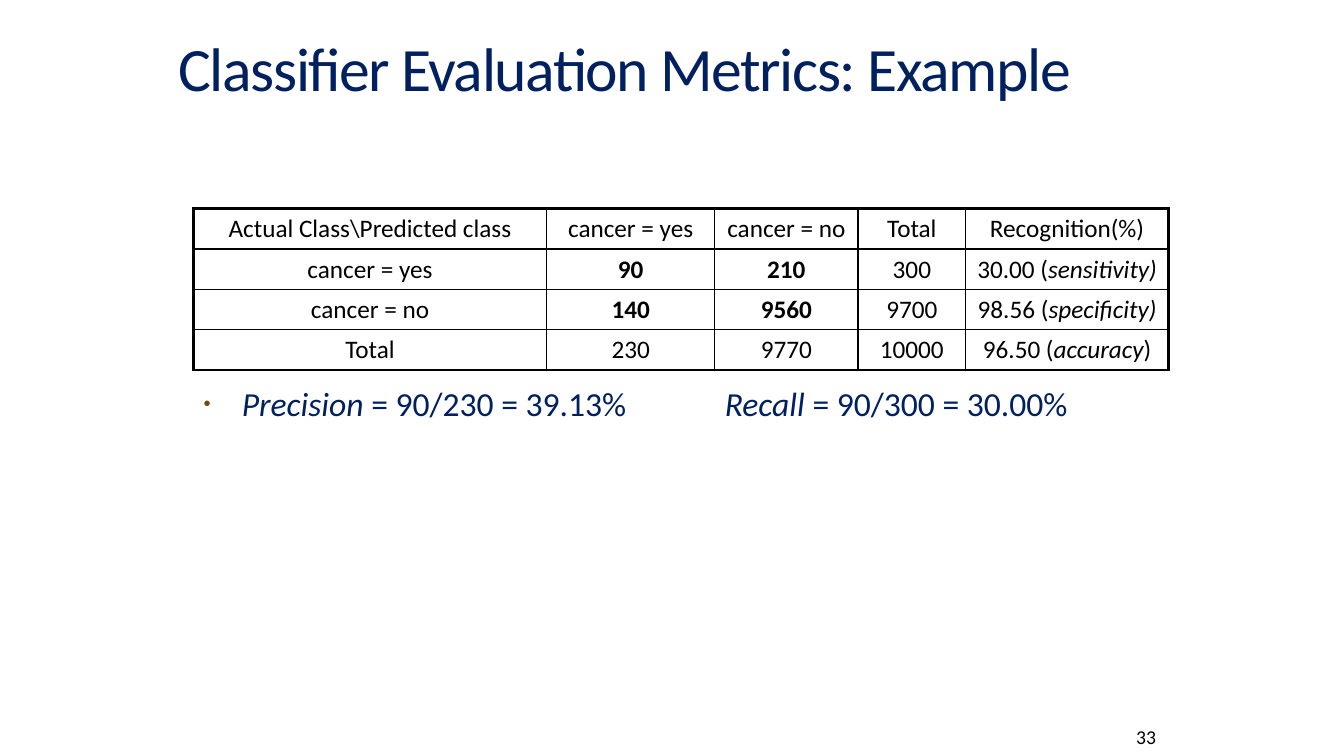
"""Build the slide showing an example of classifier evaluation metrics."""
from lxml.etree import SubElement
from pptx import Presentation
from pptx.dml.color import RGBColor
from pptx.enum.text import MSO_ANCHOR, PP_ALIGN
from pptx.oxml.ns import qn
from pptx.util import Inches, Pt

FONT, NAVY, BLACK, WHITE, BROWN = "Calibri", "002060", "000000", "FFFFFF", "694F07"
TITLE = "Classifier Evaluation Metrics: Example"
PAGE = "33"
METRICS = [("Precision", "i"), (" = 90/230 = 39.13%\t", ""),
           ("Recall", "i"), (" = 90/300 = 30.00%", "")]
ROWS = [
    ["Actual Class\\Predicted class", "cancer = yes", "cancer = no", "Total", "Recognition(%)"],
    ["cancer = yes", [("90", "b")], [("210", "b")], "300",
     [("30.00 (", ""), ("sensitivity)", "i")]],
    ["cancer = no", [("140", "b")], [("9560", "b")], "9700",
     [("98.56 (", ""), ("specificity)", "i")]],
    ["Total", "230", "9770", "10000",
     [("96.50 (", ""), ("accuracy", "i"), (")", "")]],
]
COL_WIDTHS = [3.5, 1.67, 1.42, 1.07, 2.01]
ROW_HEIGHT = 0.4
THIN, THICK = 1, 2.25


def rgb(color):
    return RGBColor.from_string(color)


def write(p, runs, size, color):
    for text, style in [(runs, "")] if isinstance(runs, str) else runs:
        r = p.add_run()
        r.text = text
        r.font.name, r.font.size = FONT, Pt(size)
        r.font.color.rgb = rgb(color)
        r.font.bold, r.font.italic = "b" in style, "i" in style


def add_text(slide, box, runs, size, color, anchor=MSO_ANCHOR.TOP):
    tf = slide.shapes.add_textbox(*map(Inches, box)).text_frame
    tf.word_wrap, tf.vertical_anchor = True, anchor
    p = tf.paragraphs[0]
    write(p, runs, size, color)
    return p


def add_bullet(p, indent, tab):
    pPr = p._p.get_or_add_pPr()
    pPr.set("marL", str(Inches(indent)))
    pPr.set("indent", str(-Inches(indent)))
    SubElement(SubElement(pPr, qn("a:buClr")), qn("a:srgbClr"), val=BROWN)
    SubElement(pPr, qn("a:buSzPct"), val="60000")
    SubElement(pPr, qn("a:buFont"), typeface="Arial")
    SubElement(pPr, qn("a:buChar"), char="•")
    SubElement(SubElement(pPr, qn("a:tabLst")), qn("a:tab"), pos=str(Inches(tab)), algn="l")


def set_borders(cell, outer):
    tcPr = cell._tc.get_or_add_tcPr()
    for i, (side, is_outer) in enumerate(zip("LRTB", outer)):
        width = Pt(THICK if is_outer else THIN)
        ln = tcPr.makeelement(qn(f"a:ln{side}"), {"w": str(width)})
        SubElement(SubElement(ln, qn("a:solidFill")), qn("a:srgbClr"), val=BLACK)
        tcPr.insert(i, ln)


def add_confusion_table(slide, left, top):
    n_rows, n_cols = len(ROWS), len(COL_WIDTHS)
    table = slide.shapes.add_table(
        n_rows, n_cols, Inches(left), Inches(top),
        Inches(sum(COL_WIDTHS)), Inches(ROW_HEIGHT * n_rows)).table
    table.first_row = table.horz_banding = False
    for column, width in zip(table.columns, COL_WIDTHS):
        column.width = Inches(width)
    for i, row in enumerate(ROWS):
        table.rows[i].height = Inches(ROW_HEIGHT)
        for j, runs in enumerate(row):
            cell = table.cell(i, j)
            cell.fill.solid()
            cell.fill.fore_color.rgb = rgb(WHITE)
            set_borders(cell, (j == 0, j == n_cols - 1, i == 0, i == n_rows - 1))
            p = cell.text_frame.paragraphs[0]
            p.alignment = PP_ALIGN.CENTER
            write(p, runs, 18, BLACK)


def main():
    prs = Presentation()
    prs.slide_width, prs.slide_height = Inches(13.33), Inches(7.5)
    slide = prs.slides.add_slide(prs.slide_layouts[6])
    title = add_text(slide, (1.67, 0.25, 10, 0.83), TITLE, 44, NAVY, MSO_ANCHOR.MIDDLE)
    title.runs[0].font._element.set("spc", "-100")
    metrics = add_text(slide, (1.92, 3.75, 9.25, 0.67), METRICS, 24, NAVY)
    add_bullet(metrics, 0.38, 5.17)
    add_confusion_table(slide, 1.92, 2.07)
    add_text(slide, (11.17, 7.14, 0.5, 0.36), PAGE, 14, BLACK)
    prs.save("out.pptx")


if __name__ == "__main__":
    main()
